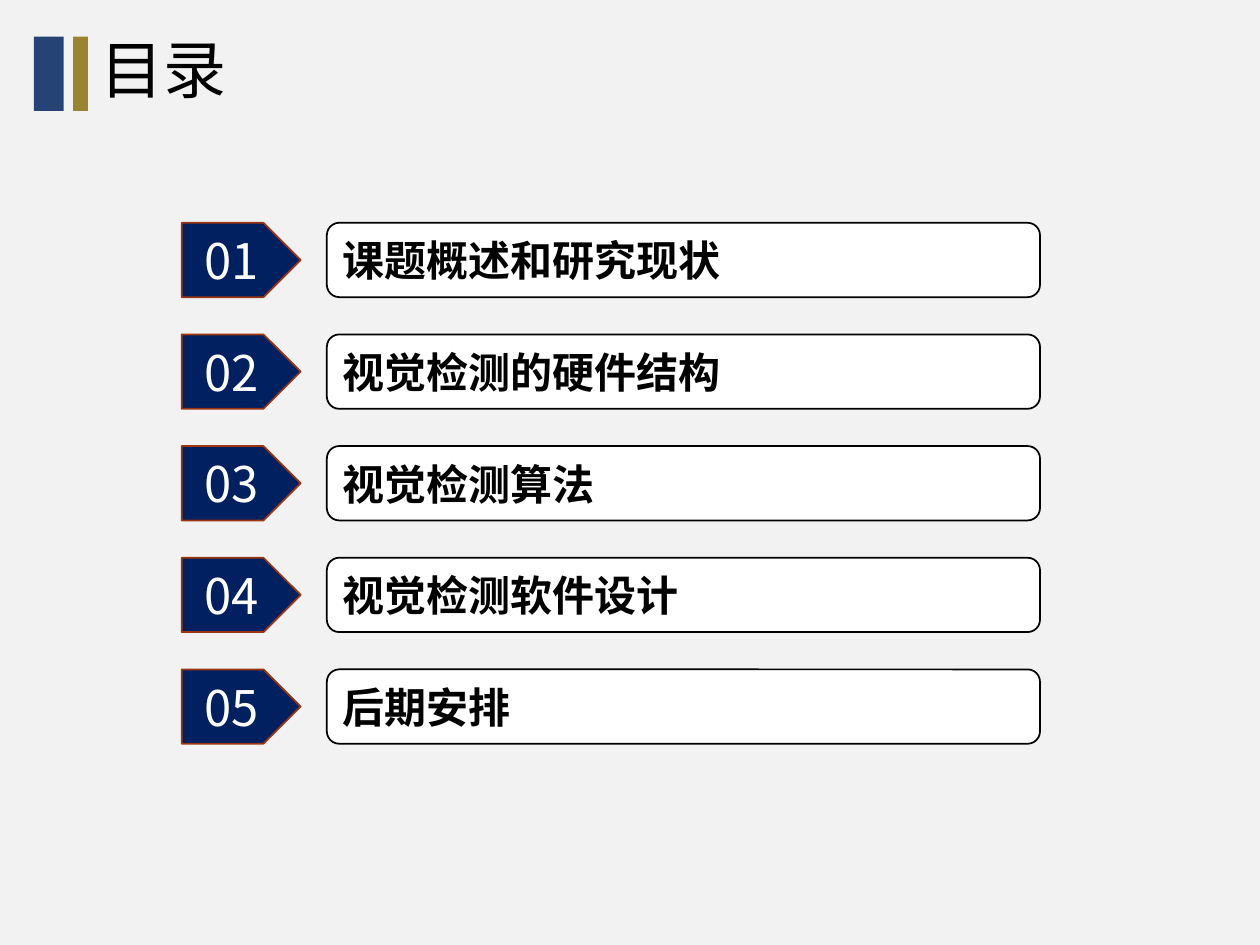
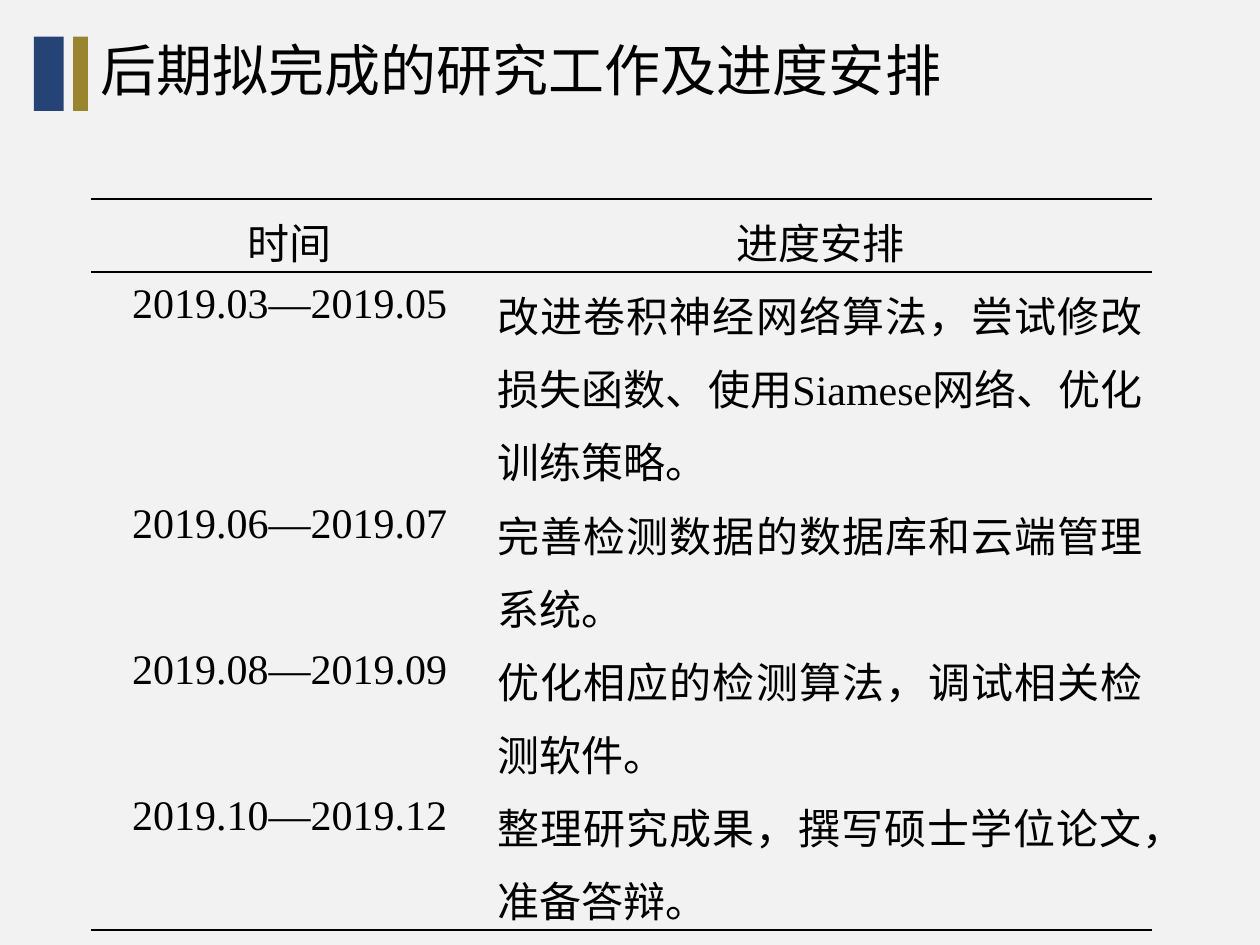
from lxml import etree
from pptx import Presentation
from pptx.dml.color import RGBColor
from pptx.enum.shapes import MSO_SHAPE
from pptx.enum.text import MSO_ANCHOR, PP_ALIGN
from pptx.oxml import parse_xml
from pptx.oxml.ns import nsdecls, qn
from pptx.util import Pt

COLORS = {
    "background": "F2F2F2",
    "blue_band": "254375",
    "gold_band": "998530",
    "navy": "002060",
    "rust": "9C3511",
    "white": "FFFFFF",
    "black": "000000",
}
CJK_FONT = "Noto Sans CJK SC"


def add_block(slide, preset, box, fill, line=None):
    shape = slide.shapes.add_shape(preset, *[Pt(value) for value in box])
    shape.shadow.inherit = False
    shape.fill.solid()
    shape.fill.fore_color.rgb = RGBColor.from_string(COLORS[fill])
    if line:
        shape.line.color.rgb = RGBColor.from_string(COLORS[line])
        shape.line.width = Pt(1)
    else:
        shape.line.fill.background()
    shape.text_frame.vertical_anchor = MSO_ANCHOR.MIDDLE
    return shape


def write(text_frame, text, size, font, color="black", bold=False,
          align=PP_ALIGN.LEFT, spacing=1.0):
    """Fill the frame with one styled paragraph."""
    text_frame.text = text
    paragraph = text_frame.paragraphs[0]
    paragraph.alignment = align
    paragraph.line_spacing = spacing
    run = paragraph.runs[0]
    run.font.size = Pt(size)
    run.font.name = font
    run.font.bold = bold
    run.font.color.rgb = RGBColor.from_string(COLORS[color])
    east_asian = etree.SubElement(run.font._element, qn("a:ea"))
    east_asian.set("typeface", CJK_FONT)


presentation = Presentation()
presentation.slide_width = Pt(720)
presentation.slide_height = Pt(540)

# Shared background, bands and title
slides = []
for title, title_size, title_width in [
    ("目录", 36, 267),
    ("后期拟完成的研究工作及进度安排", 32, 562),
]:
    slide = presentation.slides.add_slide(presentation.slide_layouts[6])
    slide.background.fill.solid()
    slide.background.fill.fore_color.rgb = RGBColor.from_string(COLORS["background"])
    add_block(slide, MSO_SHAPE.RECTANGLE, (19.4, 20.9, 17, 42.5), "blue_band")
    add_block(slide, MSO_SHAPE.RECTANGLE, (41.8, 20.9, 8.5, 42.5), "gold_band")
    title_box = slide.shapes.add_textbox(Pt(50.5), Pt(20.7), Pt(title_width), Pt(42.5))
    title_box.text_frame.word_wrap = True
    title_box.text_frame.vertical_anchor = MSO_ANCHOR.MIDDLE
    write(title_box.text_frame, title, title_size, "Arial", spacing=0.9)
    slides.append(slide)
contents_slide, schedule_slide = slides

# Contents
chapters = ["课题概述和研究现状", "视觉检测的硬件结构", "视觉检测算法", "视觉检测软件设计", "后期安排"]
for index, chapter in enumerate(chapters):
    top = 127.3 + index * 63.8
    number = add_block(contents_slide, MSO_SHAPE.PENTAGON,
                       (103.8, top, 68, 42.5), "navy", "rust")
    write(number.text_frame, f"{index + 1:02}", 28, CJK_FONT, "white",
          align=PP_ALIGN.CENTER)
    bar = add_block(contents_slide, MSO_SHAPE.ROUNDED_RECTANGLE,
                    (186.8, top, 407.5, 42.5), "white", "black")
    write(bar.text_frame, chapter, 24, "Calibri", bold=True)

# Schedule: each row is as tall as its lines of text,
# with rules above and below the header and below the last row
schedule = [
    ("时间", "进度安排", 1),
    ("2019.03—2019.05", "改进卷积神经网络算法，尝试修改损失函数、使用Siamese网络、优化训练策略。", 3),
    ("2019.06—2019.07", "完善检测数据的数据库和云端管理系统。", 2),
    ("2019.08—2019.09", "优化相应的检测算法，调试相关检测软件。", 2),
    ("2019.10—2019.12", "整理研究成果，撰写硕士学位论文，准备答辩。", 2),
]
line_height = 41.8
total_height = line_height * sum(lines for _, _, lines in schedule)
last_row = len(schedule) - 1
table = schedule_slide.shapes.add_table(
    len(schedule), 2, Pt(52), Pt(113.6), Pt(606.5), Pt(total_height)).table
table.first_row = False
table.horz_banding = False
table.columns[0].width = Pt(226.9)
table.columns[1].width = Pt(379.6)

for row, (period, task, lines) in enumerate(schedule):
    table.rows[row].height = Pt(line_height * lines)
    ruled_sides = set()
    if row <= 1:
        ruled_sides.add("lnT")
    if row in (0, last_row):
        ruled_sides.add("lnB")
    for column, text in enumerate((period, task)):
        cell = table.cell(row, column)
        cell.margin_left = cell.margin_right = Pt(5.4)
        cell.margin_top = cell.margin_bottom = Pt(0)
        centered = row == 0 or column == 0
        write(cell.text_frame, text, 24, "Times New Roman", spacing=1.2,
              align=PP_ALIGN.CENTER if centered else PP_ALIGN.JUSTIFY)
        cell_properties = cell._tc.get_or_add_tcPr()
        for side in ("lnL", "lnR", "lnT", "lnB"):
            paint = "<a:noFill/>"
            if side in ruled_sides:
                paint = f'<a:solidFill><a:srgbClr val="{COLORS["black"]}"/></a:solidFill>'
            cell_properties.append(parse_xml(
                f'<a:{side} {nsdecls("a")} w="{Pt(1)}">{paint}</a:{side}>'))
        cell.fill.background()

presentation.save("out.pptx")
